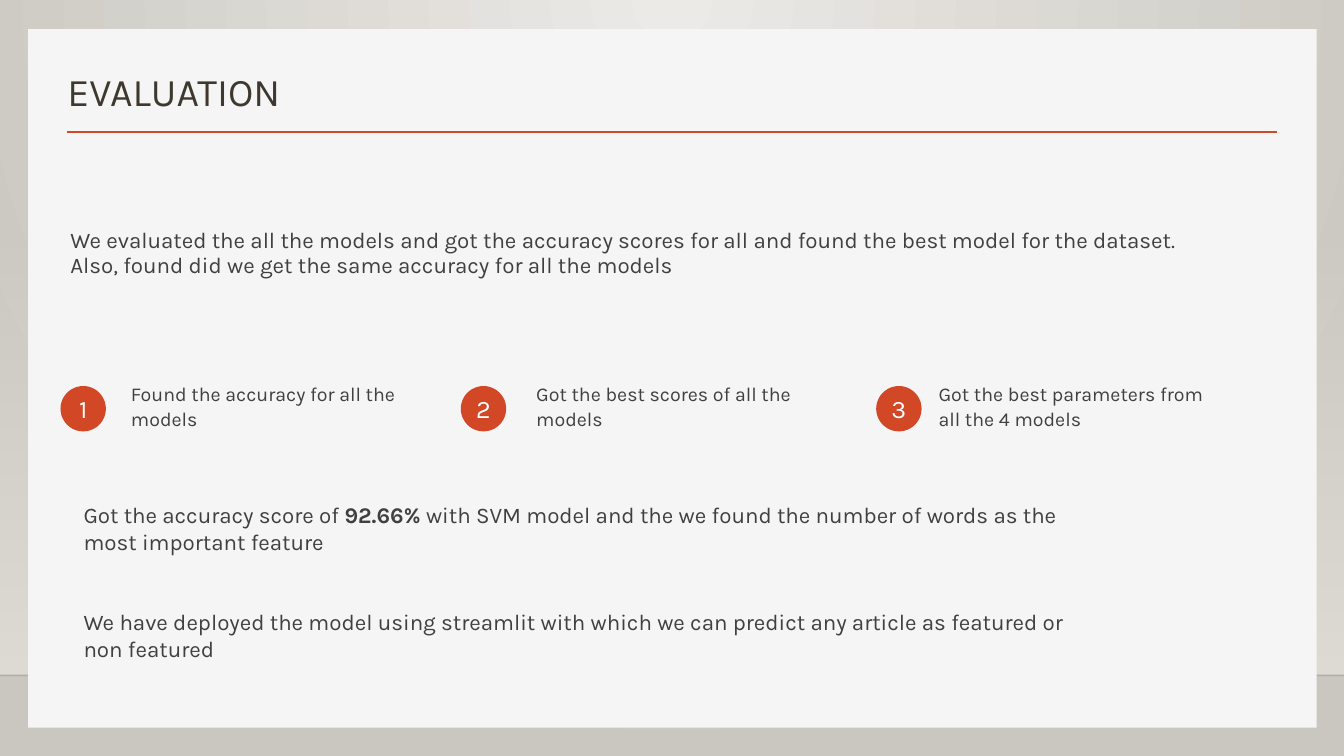
from lxml import etree
from pptx import Presentation
from pptx.dml.color import RGBColor
from pptx.enum import shapes as sh, text as tx
from pptx.oxml import parse_xml
from pptx.oxml.ns import nsdecls, qn
from pptx.util import Inches, Pt

# Content
TITLE = "EVALUATION"
INTRO = ("We evaluated the all the models and got the accuracy scores for all "
         "and found the best model for the dataset. Also, found did we get the "
         "same accuracy for all the models")
# Step: circle left, text left, text width, text
STEPS = [
    (0.6, 1.2, 2.95, "Found the accuracy for all the models"),
    (4.57, 5.22, 3.4, "Got the best scores of all the models"),
    (8.69, 9.21, 2.91, "Got the best parameters from all the 4 models"),
]
# Result paragraphs as (text, bold) runs
RESULTS = [
    [("Got the accuracy score of ", False), ("92.66%", True),
     (" with SVM model and the we found the number of words as the most "
      "important feature", False)],
    [("We have deployed the model using streamlit with which we can predict "
      "any article as featured or non featured", False)],
]

# Style
FONT = "Karla"
RED = RGBColor(0xD2, 0x47, 0x26)
DARK = RGBColor(0x3E, 0x38, 0x2F)
GREY = RGBColor(0x40, 0x40, 0x40)
WHITE = RGBColor(0xFF, 0xFF, 0xFF)
PAPER = RGBColor(0xF5, 0xF5, 0xF5)
BLACK = RGBColor(0x00, 0x00, 0x01)
SAND = RGBColor(0xDF, 0xDB, 0xD5)
GLOW = RGBColor(0xEC, 0xEA, 0xE7)
EDGE = RGBColor(0xCA, 0xC7, 0xC1)
DISC = 0.45

deck = Presentation()
deck.slide_width, deck.slide_height = Inches(13.33), Inches(7.5)
slide = deck.slides.add_slide(deck.slide_layouts[6])


def blend(fill, first, last, shade):
    """Two-stop gradient; shade is the XML that gives its direction."""
    fill.gradient()
    for stop, color in zip(fill.gradient_stops, (first, last)):
        stop.color.rgb = color
    grad = fill._fill._gradFill
    grad.replace(grad.find(qn("a:lin")), parse_xml(shade))
    return grad


def fade(color, percent):
    etree.SubElement(color, qn("a:alpha"), val=str(percent * 1000))


def add_shape(kind, left, top, width, height, color=None):
    shape = slide.shapes.add_shape(
        kind, Inches(left), Inches(top), Inches(width), Inches(height))
    shape.shadow.inherit = False
    shape.line.fill.background()
    if color is not None:
        shape.fill.solid()
        shape.fill.fore_color.rgb = color
    return shape


def add_line(left, right, y, color, width):
    line = slide.shapes.add_connector(
        sh.MSO_CONNECTOR.STRAIGHT, Inches(left), Inches(y), Inches(right), Inches(y))
    line.line.color.rgb = color
    line.line.width = Pt(width)
    etree.SubElement(line._element.spPr, qn("a:effectLst"))
    return line


def set_font(para, size, color):
    para.font.name, para.font.size, para.font.color.rgb = FONT, Pt(size), color


def add_text(left, top, width, height, words, size, color):
    box = slide.shapes.add_textbox(
        Inches(left), Inches(top), Inches(width), Inches(height))
    box.text_frame.word_wrap = True
    para = box.text_frame.paragraphs[0]
    para.text = words
    set_font(para, size, color)
    return box.text_frame


def add_body(*args):
    para = add_text(*args, GREY).paragraphs[0]
    para.line_spacing = Pt(18)
    para.space_before, para.space_after = Pt(10), Pt(20)


# Backdrop
blend(slide.background.fill, GLOW, EDGE,
      f'<a:path {nsdecls("a")} path="circle">'
      '<a:fillToRect l="43000" t="0" r="43000" b="100000"/></a:path>')
band = add_shape(sh.MSO_SHAPE.RECTANGLE, 0, 2.21, 13.33, 4.49)
grad = blend(band.fill, SAND, SAND, f'<a:lin {nsdecls("a")} ang="5400000" scaled="0"/>')
fade(grad.find(".//" + qn("a:srgbClr")), 0)
floor = add_line(0, 13.33, 6.7, BLACK, 1)
fade(floor._element.spPr.find(".//" + qn("a:srgbClr")), 20)
add_shape(sh.MSO_SHAPE.RECTANGLE, 0.28, 0.29, 12.78, 6.93, PAPER)

# Title and intro
add_line(0.66, 12.67, 1.31, RED, 2)
head = add_text(0.57, 0.49, 7.52, 0.7, TITLE, 28, DARK)
head.vertical_anchor = tx.MSO_ANCHOR.BOTTOM
head.paragraphs[0].line_spacing = 0.9
add_body(0.6, 2.21, 11.36, 1, INTRO, 16)

# Numbered steps
for number, (left, start, width, words) in enumerate(STEPS, 1):
    add_shape(sh.MSO_SHAPE.OVAL, left, 3.83, DISC, DISC, RED)
    label = add_text(left - 0.08, 3.85, DISC + 0.16, 0.4, str(number), 18, WHITE)
    label.paragraphs[0].alignment = tx.PP_ALIGN.CENTER
    add_body(start, 3.72, width, 0.76, words, 14)

# Results
frame = add_text(0.73, 4.92, 10.12, 1.72, "", 16, GREY)
for i, runs in enumerate(RESULTS):
    para = frame.add_paragraph() if i else frame.paragraphs[0]
    set_font(para, 16, GREY)
    para.space_before = Pt(38 if i else 0)
    for words, bold in runs:
        run = para.add_run()
        run.text, run.font.bold = words, bold

deck.save("out.pptx")
